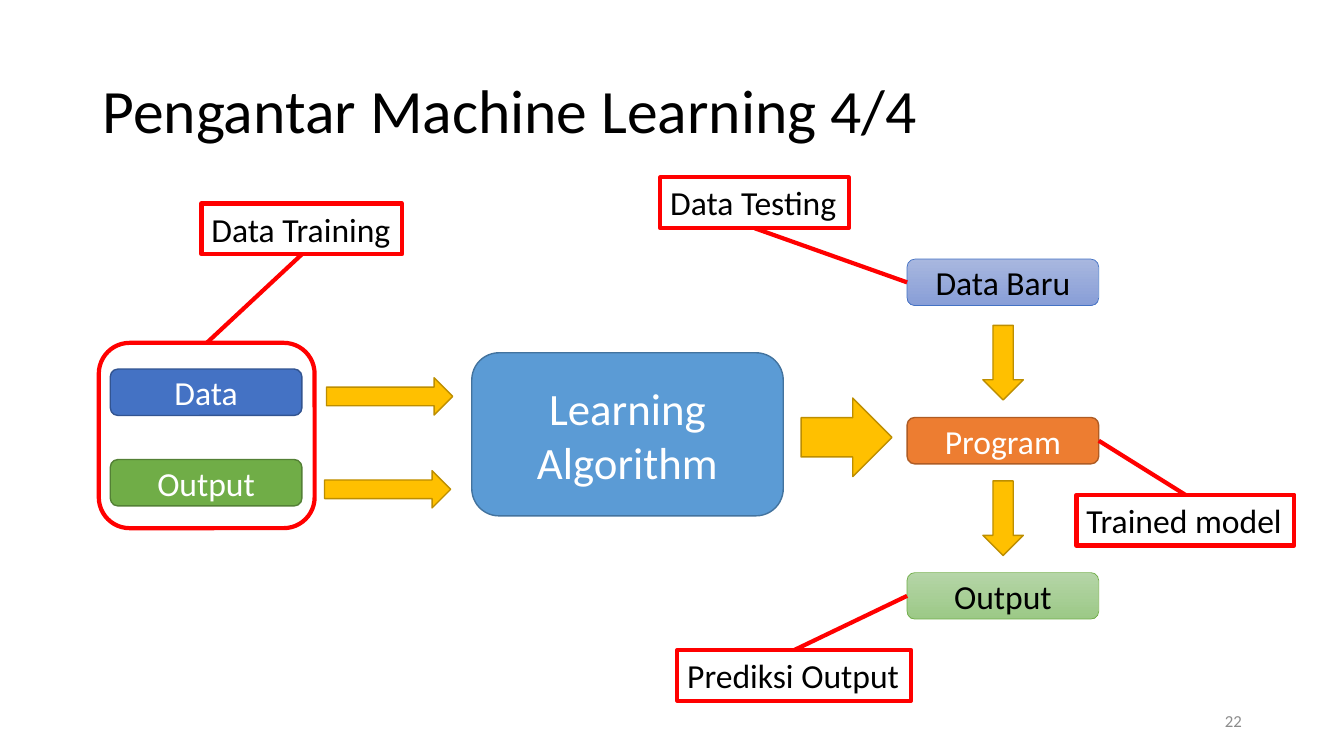
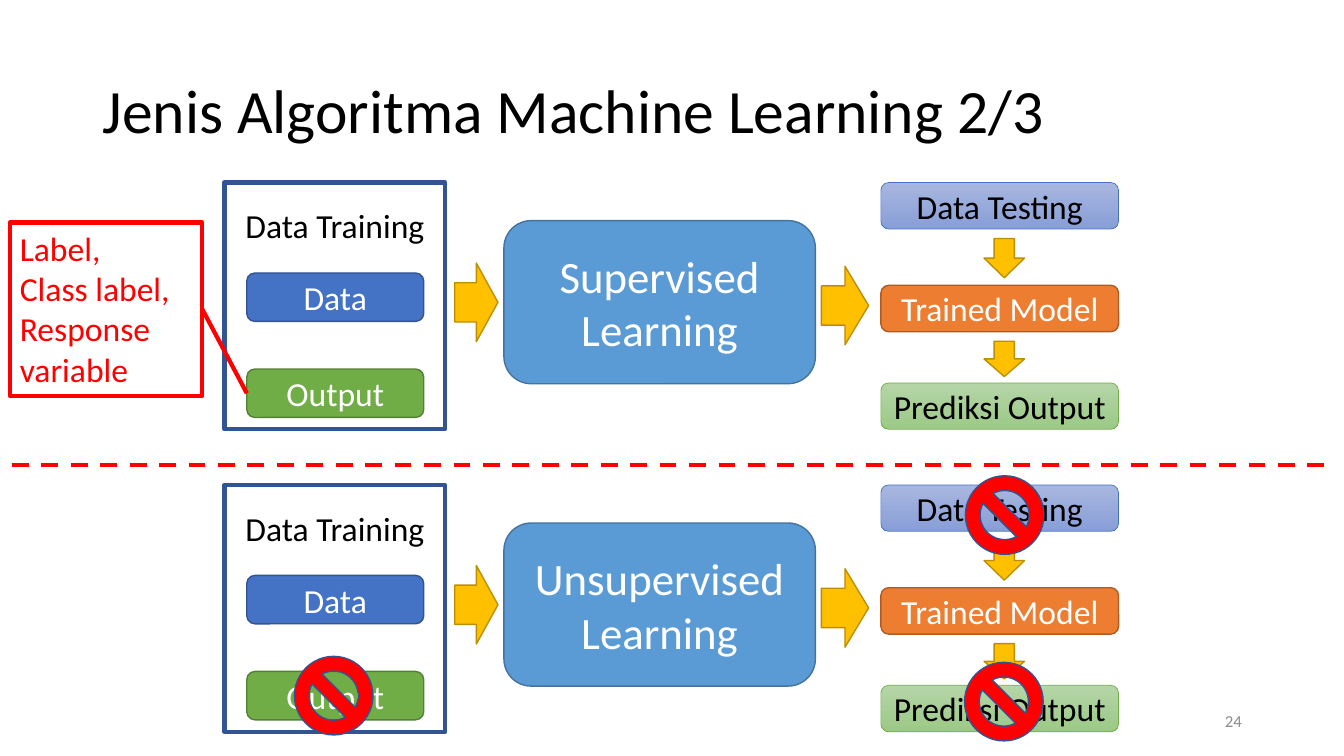
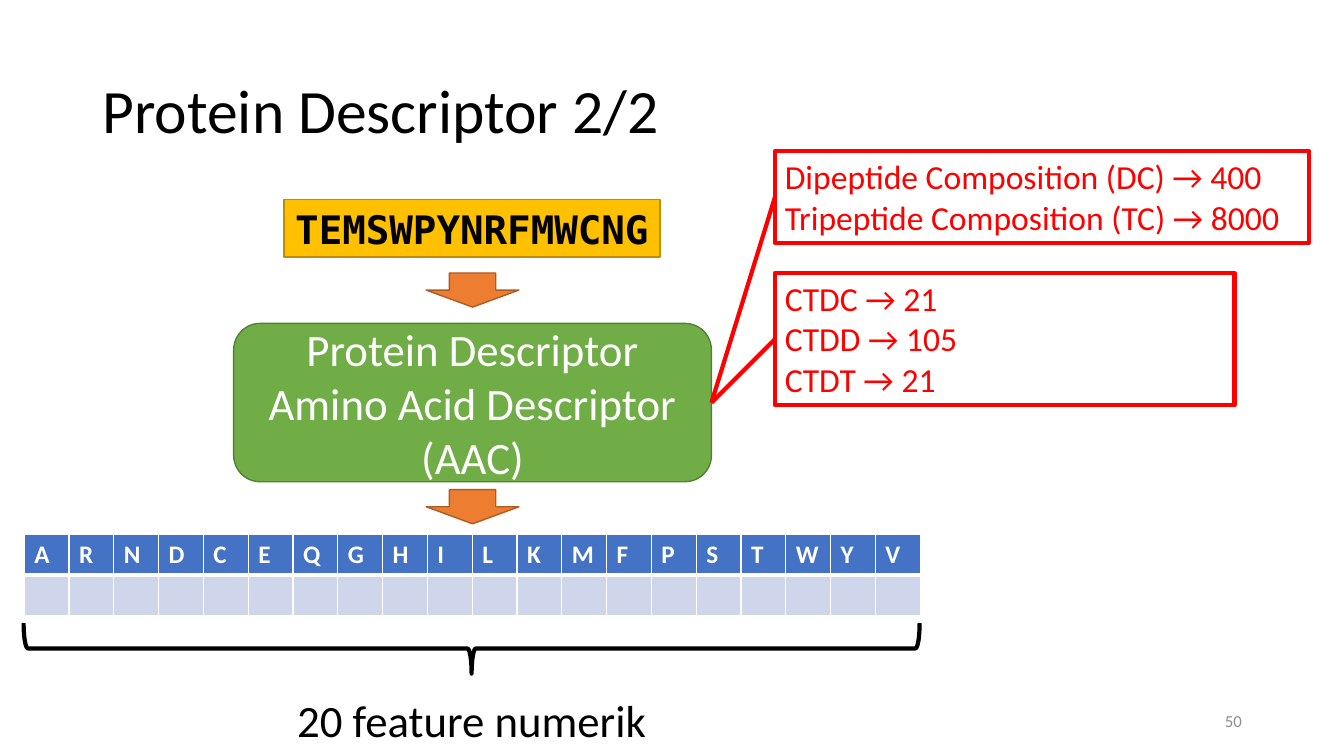
from lxml import etree
from pptx import Presentation
from pptx.dml.color import RGBColor
from pptx.enum import dml, shapes, text
from pptx.oxml import ns
from pptx.util import Cm, Pt

COLORS = {
    "black": "000000", "white": "FFFFFF", "gray": "8C8C8C", "red": "FF0000",
    "blue": "4472C4", "navy": "325491", "pale blue": "CFD5EA",
    "green": "70AD47", "dark green": "538035",
    "orange": "ED7D31", "dark orange": "AF5C24",
    "gold": "FFC000", "dark gold": "BD8E00",
    "sky": "5B9BD5", "dark sky": "43739E",
    "lilac": "A8B7DF", "dark lilac": "889ED7",
    "mint": "B5D5A7", "dark mint": "9CC987",
}
RGB = {name: RGBColor.from_string(value) for name, value in COLORS.items()}

# Style: fill colours (two make a gradient), line colour, line width, text colour
STYLES = {
    "data": (["blue"], "navy", 1, "white"),
    "output": (["green"], "dark green", 1, "white"),
    "model": (["orange"], "dark orange", 1, "white"),
    "learning": (["sky"], "dark sky", 1, "white"),
    "arrow": (["gold"], "dark gold", 1, "black"),
    "new data": (["lilac", "dark lilac"], "blue", 0.5, "black"),
    "prediction": (["mint", "dark mint"], "green", 0.5, "black"),
    "forbidden": (["red"], "navy", 1, "white"),
    "frame": ([], "navy", 3, "black"),
    "callout": ([], "red", 3, "black"),
    "note": ([], "red", 3, "red"),
    "brace": ([], "black", 3, "black"),
    "caption": ([], None, 0, "black"),
    "page number": ([], None, 0, "gray"),
}
FONT = "Calibri"
KIND = shapes.MSO_SHAPE
TOP, LEFT, BOTTOM, RIGHT = range(4)


def add_box(page, kind, place, style, content="", size=24):
    """Add a styled shape; place is left, top, width and height in cm."""
    fills, line, width, text_color = STYLES[style]
    box = page.shapes.add_shape(kind, *[Cm(length) for length in place])
    box.shadow.inherit = False
    if len(fills) == 2:
        box.fill.gradient()
        box.fill.gradient_angle = 270
        for stop, color in zip(box.fill.gradient_stops, fills):
            stop.color.rgb = RGB[color]
    elif fills:
        box.fill.solid()
        box.fill.fore_color.rgb = RGB[fills[0]]
    else:
        box.fill.background()
    if line:
        box.line.color.rgb = RGB[line]
        box.line.width = Pt(width)
    else:
        box.line.fill.background()
    if content:
        frame = box.text_frame
        frame.text = content
        frame.word_wrap = style not in ("callout", "caption")
        left_aligned = style in ("callout", "note", "caption")
        if left_aligned:
            frame.vertical_anchor = text.MSO_ANCHOR.TOP
        for paragraph in frame.paragraphs:
            paragraph.alignment = text.PP_ALIGN.LEFT if left_aligned else text.PP_ALIGN.CENTER
            for span in paragraph.runs:
                span.font.name = FONT
                span.font.size = Pt(size)
                span.font.color.rgb = RGB[text_color]
    return box


def add_red_line(page, begin=(0, 0), end=(0, 0)):
    points = [Cm(length) for length in (*begin, *end)]
    line = page.shapes.add_connector(shapes.MSO_CONNECTOR.STRAIGHT, *points)
    line.line.color.rgb = RGB["red"]
    line.line.width = Pt(3)
    etree.SubElement(line._element.spPr, ns.qn("a:effectLst"))
    return line


deck = Presentation()
deck.slide_width, deck.slide_height = Cm(33.87), Cm(19.05)
pages = []
for title, number in (
    ("Pengantar Machine Learning 4/4", "22"),
    ("Jenis Algoritma Machine Learning 2/3", "24"),
    ("Protein Descriptor 2/2", "50"),
):
    page = deck.slides.add_slide(deck.slide_layouts[5])
    heading = page.shapes.title
    heading.left, heading.top, heading.width, heading.height = Cm(2.33), Cm(1.01), Cm(29.21), Cm(3.68)
    heading.text_frame.text = title
    heading.text_frame.vertical_anchor = text.MSO_ANCHOR.MIDDLE
    paragraph = heading.text_frame.paragraphs[0]
    paragraph.alignment = text.PP_ALIGN.LEFT
    paragraph.line_spacing = 0.9
    span = paragraph.runs[0]
    span.font.name, span.font.size = FONT, Pt(44)
    span.font.color.rgb = RGB["black"]
    box = add_box(page, KIND.RECTANGLE, (23.93, 17.65, 7.62, 1.02), "page number", number, 12)
    box.text_frame.paragraphs[0].alignment = text.PP_ALIGN.RIGHT
    pages.append(page)
overview, kinds, protein = pages
links = []

# Training and prediction overview
training = add_box(overview, KIND.ROUNDED_RECTANGLE, (2.49, 8.64, 5.44, 4.67), "callout")
step = {}
for name, left, top, style, label in (
    ("data", 2.78, 9.3, "data", "Data"),
    ("output", 2.78, 11.58, "output", "Output"),
    ("new data", 22.86, 6.53, "new data", "Data Baru"),
    ("program", 22.86, 10.52, "model", "Program"),
    ("prediction", 22.86, 14.43, "prediction", "Output"),
):
    step[name] = add_box(overview, KIND.ROUNDED_RECTANGLE, (left, top, 4.83, 1.17), style, label)
add_box(overview, KIND.ROUNDED_RECTANGLE, (11.89, 8.89, 7.85, 4.11), "learning", "Learning Algorithm", 32)
for kind, place in (
    (KIND.RIGHT_ARROW, (8.23, 9.52, 3.18, 0.94)),
    (KIND.RIGHT_ARROW, (8.18, 11.86, 3.18, 0.94)),
    (KIND.RIGHT_ARROW, (20.19, 10.03, 2.29, 1.98)),
    (KIND.DOWN_ARROW, (24.77, 8.2, 1.02, 1.88)),
    (KIND.DOWN_ARROW, (24.77, 12.12, 1.02, 1.88)),
):
    add_box(overview, kind, place, "arrow")
for label, left, top, width, side, target, target_side in (
    ("Data Training", 5.08, 5.13, 5.05, BOTTOM, training, TOP),
    ("Data Testing", 16.64, 4.47, 4.75, BOTTOM, step["new data"], LEFT),
    ("Prediksi Output", 17.07, 16.38, 5.89, TOP, step["prediction"], LEFT),
    ("Trained model", 27.13, 12.47, 5.49, TOP, step["program"], RIGHT),
):
    callout = add_box(overview, KIND.RECTANGLE, (left, top, width, 1.28), "callout", label)
    links.append((overview, callout, side, target, target_side))

# Supervised above, unsupervised below
outputs = []
for method, shift in (("Supervised Learning", 0), ("Unsupervised Learning", 7.62)):
    frame = add_box(kinds, KIND.RECTANGLE, (5.66, 4.6 + shift, 5.56, 6.22), "frame", "Data Training")
    frame.text_frame.vertical_anchor = text.MSO_ANCHOR.TOP
    frame.text_frame.margin_top = Cm(0.57)
    add_box(kinds, KIND.ROUNDED_RECTANGLE, (6.22, 6.88 + shift, 4.46, 1.22), "data", "Data")
    outputs.append(add_box(kinds, KIND.ROUNDED_RECTANGLE, (6.22, 9.3 + shift, 4.46, 1.22), "output", "Output"))
    add_box(kinds, KIND.ROUNDED_RECTANGLE, (12.7, 5.56 + shift, 7.85, 4.11), "learning", method, 32)
    for top, style, label in (
        (4.6, "new data", "Data Testing"),
        (7.19, "model", "Trained Model"),
        (9.65, "prediction", "Prediksi Output"),
    ):
        add_box(kinds, KIND.ROUNDED_RECTANGLE, (22.2, top + shift, 5.99, 1.17), style, label)
    for kind, left, top, width, height in (
        (KIND.RIGHT_ARROW, 11.46, 6.63, 1.09, 1.98),
        (KIND.RIGHT_ARROW, 20.7, 6.71, 1.19, 1.98),
        (KIND.DOWN_ARROW, 24.8, 6.01, 1.02, 0.99),
        (KIND.DOWN_ARROW, 24.8, 8.6, 1.02, 0.89),
    ):
        add_box(kinds, kind, (left, top + shift, width, height), "arrow")
for left, top in ((7.42, 16.54), (24.33, 11.99), (24.31, 16.69)):
    add_box(kinds, KIND.NO_SYMBOL, (left, top, 1.98, 1.98), "forbidden")
divider = add_red_line(kinds, (0.3, 11.71), (33.66, 11.71))
divider.line.dash_style = dml.MSO_LINE.DASH
note = add_box(kinds, KIND.RECTANGLE, (0.25, 5.61, 4.85, 4.37), "note",
               "Label,\nClass label,\nResponse variable")
links.append((kinds, note, RIGHT, outputs[0], LEFT))

# From protein sequence to numeric features
sequence = add_box(protein, KIND.RECTANGLE, (7.16, 5.03, 9.47, 1.45), "arrow", "TEMSWPYNRFMWCNG", 28)
sequence.text_frame.word_wrap = False
span = sequence.text_frame.paragraphs[0].runs[0]
span.font.name, span.font.bold = "DejaVu Sans Mono", True
descriptor = add_box(protein, KIND.ROUNDED_RECTANGLE, (5.89, 8.15, 12.04, 3.99), "output",
                     "Protein Descriptor\nAmino Acid Descriptor (AAC)", 32)
for top in (6.88, 12.34):
    add_box(protein, KIND.DOWN_ARROW, (10.74, top, 2.34, 0.86), "model")
for place, content in (
    ((19.53, 3.81, 13.46, 2.31), "Dipeptide Composition (DC) → 400\nTripeptide Composition (TC) → 8000"),
    ((19.53, 6.88, 11.58, 3.33), "CTDC → 21\nCTDD → 105\nCTDT → 21"),
):
    note = add_box(protein, KIND.RECTANGLE, place, "note", content)
    links.append((protein, note, LEFT, descriptor, RIGHT))

amino_acids = "ARNDCEQGHILKMFPSTWYV"
table = protein.shapes.add_table(2, len(amino_acids), Cm(0.61), Cm(13.46), Cm(22.58), Cm(2.06)).table
for column, letter in enumerate(amino_acids):
    table.columns[column].width = Cm(1.13)
    for row, fill in enumerate(("blue", "pale blue")):
        cell = table.cell(row, column)
        cell.fill.solid()
        cell.fill.fore_color.rgb = RGB[fill]
        inner_edge = "lnT" if row else "lnB"
        for position, edge in enumerate(("lnL", "lnR", "lnT", "lnB")):
            border = etree.Element(ns.qn("a:" + edge), w=str(Pt(3 if edge == inner_edge else 1)))
            paint = etree.SubElement(border, ns.qn("a:solidFill"))
            etree.SubElement(paint, ns.qn("a:srgbClr"), val=COLORS["white"])
            cell._tc.tcPr.insert(position, border)
    header = table.cell(0, column)
    header.text_frame.text = letter
    span = header.text_frame.paragraphs[0].runs[0]
    span.font.name, span.font.size, span.font.bold = FONT, Pt(18), True
    span.font.color.rgb = RGB["white"]
brace = add_box(protein, KIND.RIGHT_BRACE, (11.25, 5.05, 1.27, 22.58), "brace")
brace.rotation = 90
add_box(protein, KIND.RECTANGLE, (7.24, 17.32, 9.4, 1.63), "caption", "20 feature numerik", 32)

for page, box, side, target, target_side in links:
    line = add_red_line(page)
    line.begin_connect(box, side)
    line.end_connect(target, target_side)

deck.save("out.pptx")
